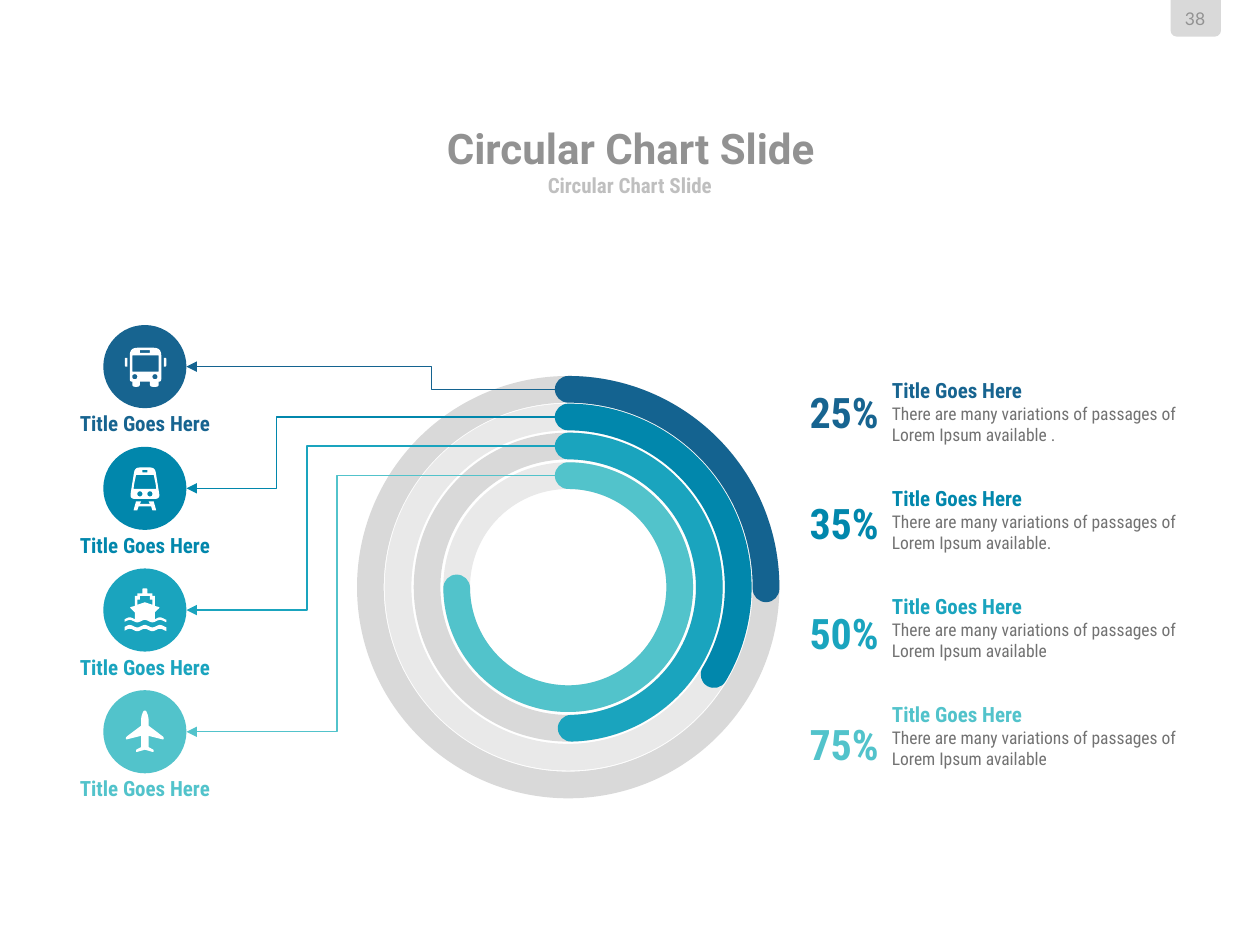
from dataclasses import dataclass
from math import cos, pi

from lxml.etree import SubElement
from pptx import Presentation
from pptx.dml.color import RGBColor
from pptx.enum.shapes import MSO_CONNECTOR as Link, MSO_SHAPE as Preset
from pptx.enum.text import MSO_ANCHOR as Anchor, MSO_AUTO_SIZE as Fit, PP_ALIGN as Align
from pptx.oxml.ns import qn
from pptx.util import Inches, Pt


@dataclass(frozen=True)
class Theme:
    white: str = "FFFFFF"
    tab: str = "D9D9D9"
    title: str = "929292"
    subtitle: str = "BFBFBF"
    body: str = "727272"
    display_font: str = "Roboto"
    text_font: str = "Roboto Condensed"
    number_font: str = "Lato"
    large: int = 24
    medium: int = 12
    small: int = 10
    ring_width: float = 15.25
    link_width: float = 0.75


@dataclass(frozen=True)
class Share:
    percent: str
    detail: str
    color: str
    ring_color: str
    track_color: str
    diameter: float
    track_end: float
    value_end: float
    bend: float


THEME = Theme()
LABEL = "Title Goes Here"
DETAIL = "There are many variations of passages of Lorem Ipsum available"
SHARES = [
    Share("25%", DETAIL + " .", "176490", "146390", "D9D9D9", 3.14, 268.26, 0.49, 0.35),
    Share("35%", DETAIL + ".", "0187AC", "0187AC", "E9E9E9", 2.7, 268.22, 30.94, 0.76),
    Share("50%", DETAIL, "1AA4BE", "1AA4BE", "D9D9D9", 2.24, 268.11, 88.79, 0.68),
    Share("75%", DETAIL, "52C3CB", "52C3CB", "E9E9E9", 1.77, 267.81, 179.59, 0.6),
]
RING_X, RING_Y = 4.51, 4.66
ICON_X = 1.15
DISC = 0.66

Point = tuple[float, float]
Contour = list[Point]


def rgb(color: str) -> RGBColor:
    return RGBColor.from_string(color)


def style(para, size: float, font: str, color: str, bold: bool = True, align=Align.CENTER) -> None:
    para.alignment = align
    for span in para.runs:
        span.font.size, span.font.name, span.font.bold = Pt(size), font, bold
        span.font.color.rgb = rgb(color)


def set_frame(box, anchor, wrap: bool = True, inset: bool = False) -> None:
    frame = box.text_frame
    frame.auto_size, frame.word_wrap, frame.vertical_anchor = Fit.NONE, wrap, anchor
    if not inset:
        frame.margin_left = frame.margin_right = frame.margin_top = frame.margin_bottom = 0


def add_label(page, text: str, at: tuple, size: float, color: str, anchor=Anchor.TOP,
              font: str = THEME.text_font, bold: bool = True, wrap: bool = True) -> None:
    box = page.shapes.add_textbox(*map(Inches, at))
    set_frame(box, anchor, wrap)
    box.text_frame.text = text
    style(box.text_frame.paragraphs[0], size, font, color, bold)


def fill_placeholder(box, text: str, at: tuple, size: float, font: str, color: str) -> None:
    box.left, box.top, box.width, box.height = map(Inches, at)
    set_frame(box, Anchor.MIDDLE, wrap=False)
    box.text_frame.text = text
    para = box.text_frame.paragraphs[0]
    style(para, size, font, color)
    para.runs[0].font._element.set("cap", "none")


def paint(shape, color: str) -> None:
    shape.shadow.inherit = False
    shape.fill.solid()
    shape.fill.fore_color.rgb = rgb(color)
    shape.line.fill.background()


def add_arc(page, diameter: float, end: float, color: str) -> None:
    corner = (RING_X - diameter / 2, RING_Y - diameter / 2)
    arc = page.shapes.add_shape(Preset.ARC, *map(Inches, (*corner, diameter, diameter)))
    arc.shadow.inherit = False
    for index, angle in enumerate((270, end)):
        arc.adjustments[index] = angle * 0.6
    arc.fill.background()
    arc.line.color.rgb, arc.line.width = rgb(color), Pt(THEME.ring_width)
    arc.line._get_or_add_ln().set("cap", "rnd")


def add_link(page, share: Share, disc_y: float) -> None:
    ends = (4.47, RING_Y - share.diameter / 2, ICON_X + DISC / 2, disc_y)
    link = page.shapes.add_connector(Link.ELBOW, *map(Inches, ends))
    link.line.color.rgb, link.line.width = rgb(share.ring_color), Pt(THEME.link_width)
    props = link._element.spPr
    guides = props.find(qn("a:prstGeom")).find(qn("a:avLst"))
    SubElement(guides, qn("a:gd"), name="adj1", fmla=f"val {round(share.bend * 100000)}")
    outline = link.line._get_or_add_ln()
    SubElement(outline, qn("a:headEnd"), type="oval")
    SubElement(outline, qn("a:tailEnd"), type="triangle")
    SubElement(props, qn("a:effectLst"))


def add_glyph(page, contours: list[Contour]) -> None:
    outlines = [[(Inches(x), Inches(y)) for x, y in contour] for contour in contours]
    builder = page.shapes.build_freeform(*outlines[0][0], scale=1.0)
    builder.add_line_segments(outlines[0][1:])
    for outline in outlines[1:]:
        builder.move_to(*outline[0])
        builder.add_line_segments(outline[1:])
    paint(builder.convert_to_shape(), THEME.white)


def rounded(corners: list[tuple[float, float, float]]) -> Contour:
    points = []
    for index, (x, y, radius) in enumerate(corners):
        if not radius:
            points.append((x, y))
            continue
        tips = []
        for px, py, _ in (corners[index - 1], corners[(index + 1) % len(corners)]):
            reach = radius / ((px - x) ** 2 + (py - y) ** 2) ** 0.5
            tips.append((x + (px - x) * reach, y + (py - y) * reach))
        (ax, ay), (bx, by) = tips
        for t in (0, 0.2, 0.4, 0.6, 0.8, 1):
            a, b, c = (1 - t) ** 2, 2 * t * (1 - t), t * t
            points.append((a * ax + b * x + c * bx, a * ay + b * y + c * by))
    return points


def panel(left: float, top: float, right: float, bottom: float, radii=(0, 0, 0, 0)) -> Contour:
    corners = [(left, top), (right, top), (right, bottom), (left, bottom)]
    return rounded([(*corner, radius) for corner, radius in zip(corners, radii)])


def lamp(x: float, y: float) -> Contour:
    return panel(x - 0.02, y - 0.02, x + 0.02, y + 0.02, (0.02,) * 4)


def symmetric(half: list[tuple[float, float, float]]) -> Contour:
    return rounded(half + [(2 * ICON_X - x, y, radius) for x, y, radius in reversed(half)])


def wave(start: float, end: float, y: float) -> Contour:
    steps = [start + (end - start) * step / 24 for step in range(25)]
    return [(x, y - 0.01 * cos(2 * pi * (x - ICON_X) / 0.12)) for x in steps]


def make_icons() -> list[list[list[Contour]]]:
    bus = [panel(1.03, 2.76, 1.28, 3.03, (0.06, 0.06, 0.02, 0.02)),
           panel(1.05, 3.03, 1.11, 3.07, (0, 0, 0.02, 0.02)),
           panel(1.19, 3.03, 1.26, 3.07, (0, 0, 0.02, 0.02)),
           panel(1.11, 2.78, 1.19, 2.8), panel(1.05, 2.82, 1.26, 2.95),
           lamp(1.07, 2.99), lamp(1.23, 2.99)]
    mirrors = [[panel(0.99, 2.84, 1.01, 2.91, (0.01, 0, 0, 0.01))],
               [panel(1.3, 2.84, 1.32, 2.91, (0, 0.01, 0.01, 0))]]
    train = [symmetric([(1.07, 3.71, 0.04), (1.03, 3.96, 0.04)][::-1]),
             panel(1.13, 3.73, 1.17, 3.75), lamp(1.11, 3.92), lamp(1.19, 3.92),
             symmetric([(1.06, 3.88, 0), (1.065, 3.84, 0), (1.08, 3.77, 0)])]
    rails = [symmetric([(1.1, 4.02, 0), (1.09, 4.05, 0), (1.06, 4.05, 0),
                        (1.08, 3.98, 0), (1.12, 3.98, 0), (1.11, 4, 0)])]
    deck_line = symmetric([(1.07, 4.86, 0), (1.03, 4.82, 0.01), (1.07, 4.81, 0), (1.07, 4.73, 0),
                           (1.09, 4.73, 0), (1.09, 4.71, 0), (1.13, 4.71, 0), (1.13, 4.67, 0.01)])
    hull = [deck_line + wave(1.23, 1.32, 4.91) + wave(1.32, 0.99, 4.93) + wave(0.99, 1.07, 4.91),
            symmetric([(1.09, 4.8, 0), (1.09, 4.76, 0), (1.11, 4.76, 0), (1.11, 4.73, 0)])
            + [(ICON_X, 4.78)]]
    water = [wave(0.99, 1.32, 4.97) + wave(1.32, 0.99, 5)]
    plane = [symmetric([(1.15, 5.95, 0), (1.08, 5.97, 0.01), (1.08, 5.95, 0.01), (1.12, 5.93, 0),
                        (1.12, 5.84, 0), (1, 5.87, 0.01), (1, 5.85, 0.01), (1.12, 5.76, 0),
                        (1.12, 5.69, 0.03), (1.14, 5.64, 0.01)])]
    return [[bus, *mirrors], [train, rails], [hull, water], [plane]]


def add_detail(page, share: Share, top: float) -> None:
    box = page.shapes.add_textbox(*map(Inches, (6.98, top, 2.71, 0.64)))
    set_frame(box, Anchor.TOP, inset=True)
    box.text_frame.text = f"{LABEL}\n{share.detail}"
    heading, body = box.text_frame.paragraphs
    style(heading, THEME.medium, THEME.text_font, share.color, align=Align.LEFT)
    style(body, THEME.small, THEME.text_font, THEME.body, bold=False, align=Align.LEFT)


def main() -> None:
    deck = Presentation()
    deck.slide_width, deck.slide_height = Inches(10), Inches(7.5)
    page = deck.slides.add_slide(deck.slide_layouts[2])
    title, subtitle = page.placeholders
    fill_placeholder(title, "Circular Chart Slide", (1.92, 0.98, 6.17, 0.39),
                     THEME.large, THEME.display_font, THEME.title)
    fill_placeholder(subtitle, "Circular Chart Slide", (2.75, 1.36, 4.5, 0.22),
                     THEME.medium, THEME.text_font, THEME.subtitle)
    tab = page.shapes.add_shape(Preset.ROUND_2_SAME_RECTANGLE, *map(Inches, (9.29, 0, 0.4, 0.29)))
    tab.rotation = 180
    paint(tab, THEME.tab)
    add_label(page, "38", (9.32, 0.06, 0.33, 0.17), THEME.small, THEME.title,
              Anchor.MIDDLE, THEME.number_font, bold=False)

    for share in reversed(SHARES):
        add_arc(page, share.diameter, share.track_end, share.track_color)
        add_arc(page, share.diameter, share.value_end, share.ring_color)
    for row, (share, icon) in enumerate(zip(SHARES, make_icons())):
        disc_top = 2.58 + row * 0.966
        disc_box = (ICON_X - DISC / 2, disc_top, DISC, DISC)
        paint(page.shapes.add_shape(Preset.OVAL, *map(Inches, disc_box)), share.color)
        add_label(page, LABEL, (0.54, disc_top + 0.68, 1.22, 0.2), THEME.medium, share.color)
        add_link(page, share, disc_top + DISC / 2)
        for glyph in icon:
            add_glyph(page, glyph)
        add_detail(page, share, 2.95 + row * 0.857)
        add_label(page, share.percent, (6.42, 3.07 + row * 0.877, 0.56, 0.4), THEME.large,
                  share.color, Anchor.BOTTOM, wrap=False)
    deck.save("out.pptx")


if __name__ == "__main__":
    main()
